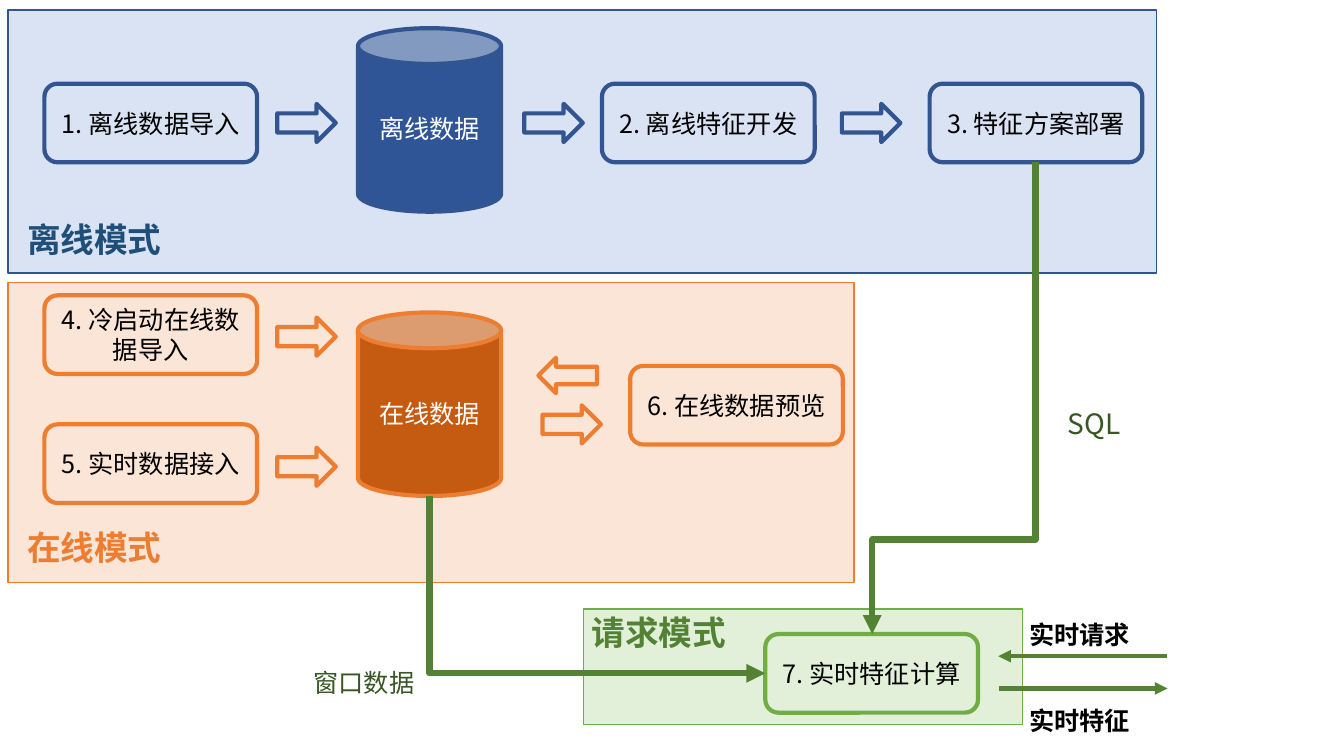
"""Build a slide showing how offline, online and request modes pass feature data."""
from dataclasses import dataclass

import lxml.etree
import pptx
import pptx.dml.color
import pptx.enum.shapes
import pptx.enum.text
import pptx.oxml
import pptx.oxml.ns
import pptx.util

Inches = pptx.util.Inches
Shape = pptx.enum.shapes.MSO_SHAPE
Connector = pptx.enum.shapes.MSO_CONNECTOR


@dataclass(frozen=True)
class Theme:
    font: str = "Noto Sans CJK SC"
    black: str = "000000"
    white: str = "FFFFFF"
    offline: str = "325491"
    offline_panel: str = "DAE3F3"
    offline_store: str = "2F5597"
    offline_title: str = "1F4E79"
    online: str = "ED7D31"
    online_panel: str = "FBE5D6"
    online_store: str = "C55A11"
    request: str = "70AD47"
    request_panel: str = "E2F0D9"
    flow: str = "548235"
    flow_label: str = "385723"
    body: int = 18
    label: int = 20
    title: int = 24
    thin: float = 1
    medium: float = 3
    thick: float = 4.5


THEME = Theme()


def rgb(color):
    return pptx.dml.color.RGBColor.from_string(color)


def write(frame, text, size=THEME.body, color=THEME.black, bold=False, align=None):
    para = frame.paragraphs[0]
    para.alignment = align
    span = para.add_run()
    span.text = text
    span.font.name = THEME.font
    span.font.size = pptx.util.Pt(size)
    span.font.bold = bold
    span.font.color.rgb = rgb(color)
    east_asian = lxml.etree.SubElement(span.font._element, pptx.oxml.ns.qn("a:ea"))
    east_asian.set("typeface", THEME.font)


def add_outlined(page, kind, place, line, weight=THEME.medium, fill=None):
    box = page.shapes.add_shape(kind, *map(Inches, place))
    box.shadow.inherit = False
    if fill:
        box.fill.solid()
        box.fill.fore_color.rgb = rgb(fill)
    else:
        box.fill.background()
    box.line.color.rgb = rgb(line)
    box.line.width = pptx.util.Pt(weight)
    return box


def write_centred(box, text, color=THEME.black):
    box.text_frame.word_wrap = True
    box.text_frame.vertical_anchor = pptx.enum.text.MSO_ANCHOR.MIDDLE
    write(box.text_frame, text, color=color, align=pptx.enum.text.PP_ALIGN.CENTER)


def add_panel(page, place, line, fill):
    add_outlined(page, Shape.RECTANGLE, place, line, THEME.thin, fill)


def add_step(page, text, left, top, line):
    box = add_outlined(page, Shape.ROUNDED_RECTANGLE, (left, top, 2.11, 0.78), line)
    write_centred(box, text)


def add_store(page, text, top, line, fill):
    box = add_outlined(page, Shape.CAN, (3.55, top, 1.42, 1.82), line, fill=fill)
    write_centred(box, text, THEME.white)


def add_block_arrow(page, left, top, line, kind=Shape.RIGHT_ARROW, height=0.38):
    add_outlined(page, kind, (left, top, 0.58, height), line)


def add_label(page, text, place, wrap=False, **style):
    box = page.shapes.add_textbox(*map(Inches, place))
    box.text_frame.word_wrap = wrap
    box.text_frame.auto_size = pptx.enum.text.MSO_AUTO_SIZE.SHAPE_TO_FIT_TEXT
    write(box.text_frame, text, **style)


def add_flow(page, start, end, kind=Connector.STRAIGHT, weight=THEME.medium):
    flow = page.shapes.add_connector(kind, *map(Inches, start + end))
    flow.line.color.rgb = rgb(THEME.flow)
    flow.line.width = pptx.util.Pt(weight)
    tail = lxml.etree.SubElement(flow.line._get_or_add_ln(), pptx.oxml.ns.qn("a:tailEnd"))
    tail.set("type", "triangle")
    lxml.etree.SubElement(flow._element.spPr, pptx.oxml.ns.qn("a:effectLst"))
    return flow


def add_elbow(page, start, end, preset, bend=None):
    flow = add_flow(page, start, end, Connector.ELBOW, THEME.thick)
    across, down = abs(end[0] - start[0]), abs(end[1] - start[1])
    flow.left = Inches((start[0] + end[0] - down) / 2)
    flow.top = Inches((start[1] + end[1] - across) / 2)
    flow.width, flow.height = Inches(down), Inches(across)
    rightward = end[0] > start[0]
    frame = flow._element.spPr.find(pptx.oxml.ns.qn("a:xfrm"))
    frame.set("rot", str((270 if rightward else 90) * 60000))
    frame.set("flipH", "1" if rightward else "0")
    geometry = flow._element.spPr.find(pptx.oxml.ns.qn("a:prstGeom"))
    geometry.set("prst", preset)
    if bend is not None:
        guide = lxml.etree.SubElement(geometry.find(pptx.oxml.ns.qn("a:avLst")), pptx.oxml.ns.qn("a:gd"))
        guide.set("name", "adj1")
        guide.set("fmla", f"val {round(bend * 100000)}")


def main():
    deck = pptx.Presentation()
    deck.slide_width, deck.slide_height = Inches(13.33), Inches(7.5)
    page = deck.slides.add_slide(deck.slide_layouts[6])

    add_panel(page, (5.79, 6.04, 4.35, 1.15), THEME.request, THEME.request_panel)
    add_panel(page, (0.08, 2.8, 8.39, 2.98), THEME.online, THEME.online_panel)
    add_panel(page, (0.08, 0.1, 11.39, 2.61), THEME.offline, THEME.offline_panel)

    for text, left, top, line in (
        ("1. 离线数据导入", 0.44, 0.83, THEME.offline),
        ("2. 离线特征开发", 5.97, 0.83, THEME.offline),
        ("3. 特征方案部署", 9.22, 0.83, THEME.offline),
        ("4. 冷启动在线数据导入", 0.44, 2.93, THEME.online),
        ("5. 实时数据接入", 0.44, 4.21, THEME.online),
        ("6. 在线数据预览", 6.25, 3.63, THEME.online),
        ("7. 实时特征计算", 7.59, 6.29, THEME.request),
    ):
        add_step(page, text, left, top, line)

    add_store(page, "离线数据", 0.28, THEME.offline, THEME.offline_store)
    add_store(page, "在线数据", 3.1, THEME.online, THEME.online_store)

    for left in (2.75, 5.2, 8.35):
        add_block_arrow(page, left, 1.03, THEME.offline)
    for left, top in ((2.75, 3.15), (2.75, 4.44), (5.38, 4.02)):
        add_block_arrow(page, left, top, THEME.online)
    add_block_arrow(page, 5.34, 3.55, THEME.online, Shape.LEFT_ARROW, 0.35)

    add_elbow(page, (4.26, 4.92), (7.59, 6.68), "bentConnector2")
    add_elbow(page, (10.27, 1.61), (8.65, 6.29), "bentConnector3", bend=0.8)
    add_flow(page, (11.57, 6.51), (9.9, 6.51))
    add_flow(page, (9.91, 6.83), (11.58, 6.83))

    for text, top in (("实时请求", 6.09), ("实时特征", 6.95)):
        add_label(page, text, (10.11, top, 1.21, 0.4), bold=True)
    for text, left, top, color in (
        ("离线模式", 0.17, 2.12, THEME.offline_title),
        ("在线模式", 0.17, 5.18, THEME.online),
        ("请求模式", 5.77, 6.02, THEME.flow),
    ):
        add_label(page, text, (left, top, 1.55, 0.5), size=THEME.title, color=color, bold=True)
    add_label(page, "SQL", (10.49, 3.98, 0.81, 0.44), wrap=True, size=THEME.label, color=THEME.flow_label)
    add_label(page, "窗口数据", (3.01, 6.57, 1.28, 0.4), wrap=True, color=THEME.flow_label)

    deck.save("out.pptx")


if __name__ == "__main__":
    main()
